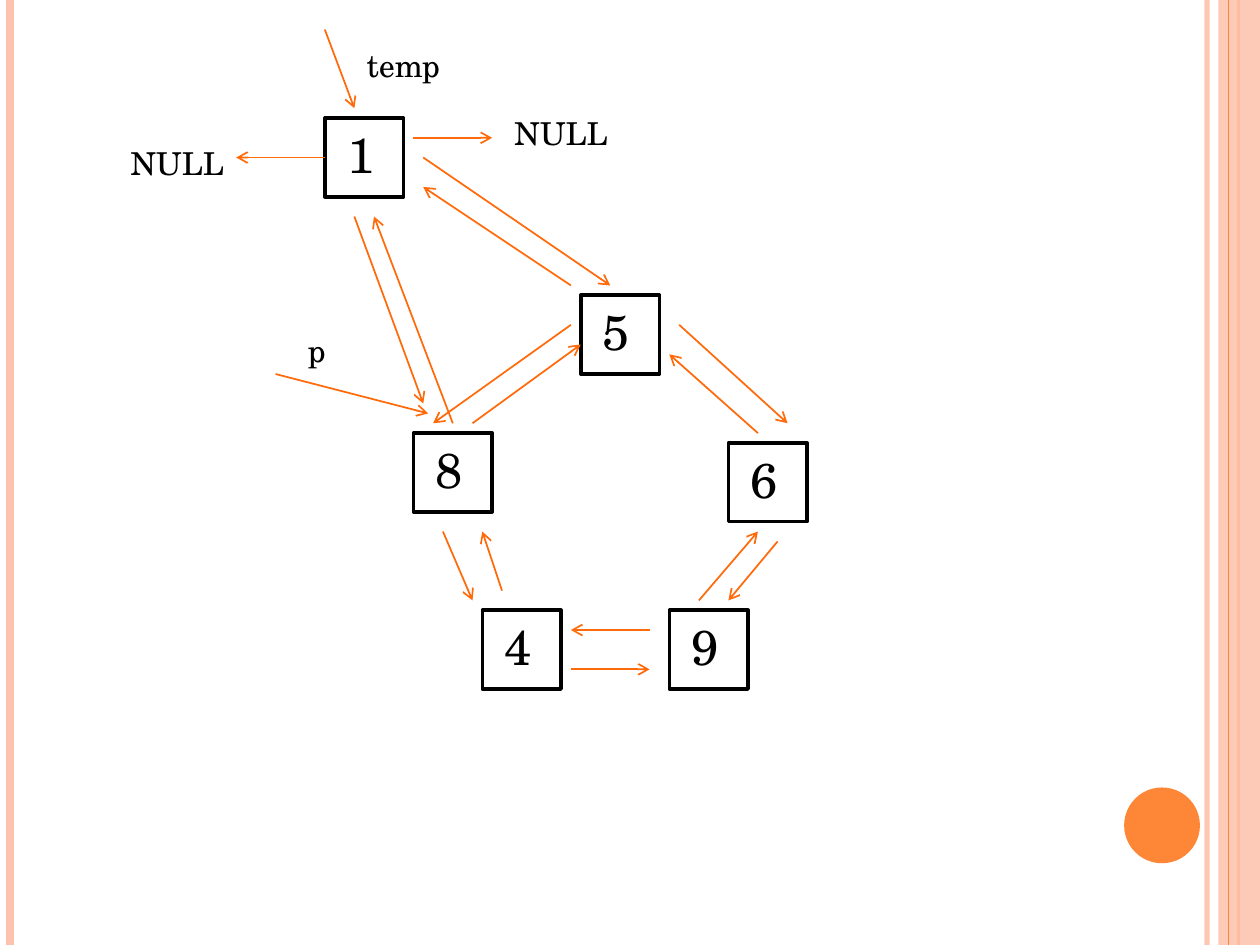
from lxml import etree
from pptx import Presentation, util as u
from pptx.dml.color import RGBColor
from pptx.enum import shapes, text
from pptx.oxml import ns

WHITE = RGBColor(0xFF, 0xFF, 0xFF)
BLACK = RGBColor(0x00, 0x00, 0x00)
PEACH = RGBColor(0xFE, 0xC3, 0xAE)
ORANGE = RGBColor(0xFE, 0x86, 0x37)
ARROW = RGBColor(0xFF, 0x6B, 0x0A)
FONT = "TeX Gyre Schola"
COLUMNS, ROWS = 128, 96
NODE_SIZE = 8

NODES = {"5": (59, 30), "6": (74, 45), "4": (49, 62),
         "8": (42, 44), "9": (68, 62), "1": (33, 12)}

LABELS = [("p", 30, 33, 4.5, True), ("temp", 36, 4, 10.2, False),
          ("NULL", 51, 11, 12.2, False), ("NULL", 12, 14, 12.2, False)]

POINTERS = [(28, 38, 43.5, 42), (33, 3, 36, 11), (42, 14, 50, 14)]

EDGES = [
    (69, 33, 80, 43), (77, 44, 68, 36),
    (79, 55, 74, 61), (71, 61, 77, 54),
    (66, 64, 58, 64), (58, 68, 66, 68),
    (51, 60, 49, 54), (45, 54, 48, 61),
    (48, 43, 59, 35), (58, 33, 44, 43),
    (43, 16, 62, 29), (58, 29, 43, 19),
    (36, 22, 43, 41), (46, 43, 38, 22),
]


class Diagram:
    def __init__(self, deck):
        self.page = deck.slides.add_slide(deck.slide_layouts[6])
        self.cell = deck.slide_width / COLUMNS

    def grid(self, *lengths):
        return [u.Emu(round(length * self.cell)) for length in lengths]

    def fade(self, element, percent):
        color = element.find(".//" + ns.qn("a:srgbClr"))
        etree.SubElement(color, ns.qn("a:alpha"), val=str(percent * 1000))

    def line(self, ends, color, width):
        line = self.page.shapes.add_connector(shapes.MSO_CONNECTOR.STRAIGHT, *self.grid(*ends))
        line.line.color.rgb = color
        line.line.width = u.Pt(width)
        etree.SubElement(line._element.spPr, ns.qn("a:effectLst"))
        return line

    def stripe(self, share, color, width, opacity=100):
        column = share * COLUMNS
        stripe = self.line((column, 0, column, ROWS), color, width)
        if opacity < 100:
            self.fade(stripe._element.spPr, opacity)

    def arrow(self, ends):
        arrow = self.line(ends, ARROW, 1)
        etree.SubElement(arrow.line._get_or_add_ln(), ns.qn("a:tailEnd"), type="arrow")
        return arrow

    def shape(self, kind, place, fill, border=None, parent=None):
        shape = (parent or self.page).shapes.add_shape(kind, *self.grid(*place))
        shape.shadow.inherit = False
        shape.fill.solid()
        shape.fill.fore_color.rgb = fill
        if border is None:
            shape.line.fill.background()
        else:
            shape.line.color.rgb = border
            shape.line.width = u.Pt(2)
        return shape

    def label(self, words, place, size, wrap=False, parent=None):
        box = (parent or self.page).shapes.add_textbox(*self.grid(*place))
        frame = box.text_frame
        frame.word_wrap = wrap
        frame.auto_size = text.MSO_AUTO_SIZE.SHAPE_TO_FIT_TEXT
        para = frame.paragraphs[0]
        para.text = words
        para.font.name = FONT
        para.font.size = u.Pt(size)
        para.font.color.rgb = BLACK

    def node(self, value, column, row):
        group = self.page.shapes.add_group_shape()
        square = self.shape(shapes.MSO_SHAPE.RECTANGLE, (column, row, NODE_SIZE, NODE_SIZE),
                            WHITE, BLACK, group)
        self.label(value, (column + 1, row, 5.4, 7.3), 28, parent=group)
        return square

    def backdrop(self):
        self.stripe(0.958, PEACH, 3, 93)
        self.stripe(0.008, PEACH, 4.5)
        self.stripe(0.983, ORANGE, 1.5)
        band = self.shape(shapes.MSO_SHAPE.RECTANGLE,
                          (0.967 * COLUMNS, 0, 0.033 * COLUMNS, ROWS), PEACH)
        self.fade(band._element.spPr, 87)
        self.stripe(0.975, ORANGE, 0.75)
        self.shape(shapes.MSO_SHAPE.OVAL, (114.2, 80, 7.7, 7.7), ORANGE)


def main():
    deck = Presentation()
    deck.slide_width, deck.slide_height = u.Inches(10), u.Inches(7.5)
    diagram = Diagram(deck)
    diagram.backdrop()
    squares = {value: diagram.node(value, *corner) for value, corner in NODES.items()}
    for ends in POINTERS + EDGES:
        diagram.arrow(ends)
    diagram.arrow((33, 16, 24, 16)).begin_connect(squares["1"], 1)
    for words, column, row, width, wrap in LABELS:
        diagram.label(words, (column, row, width, 5.1), 18, wrap)
    deck.save("out.pptx")


if __name__ == "__main__":
    main()
